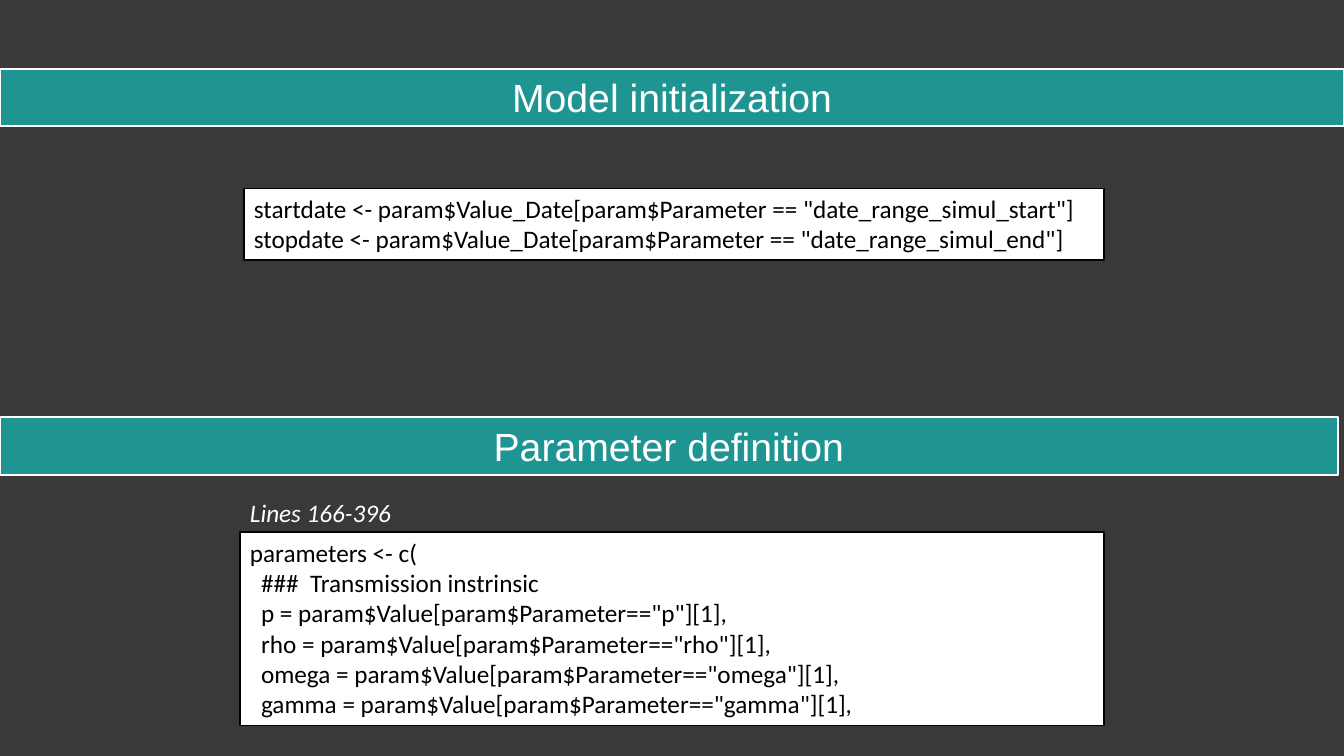
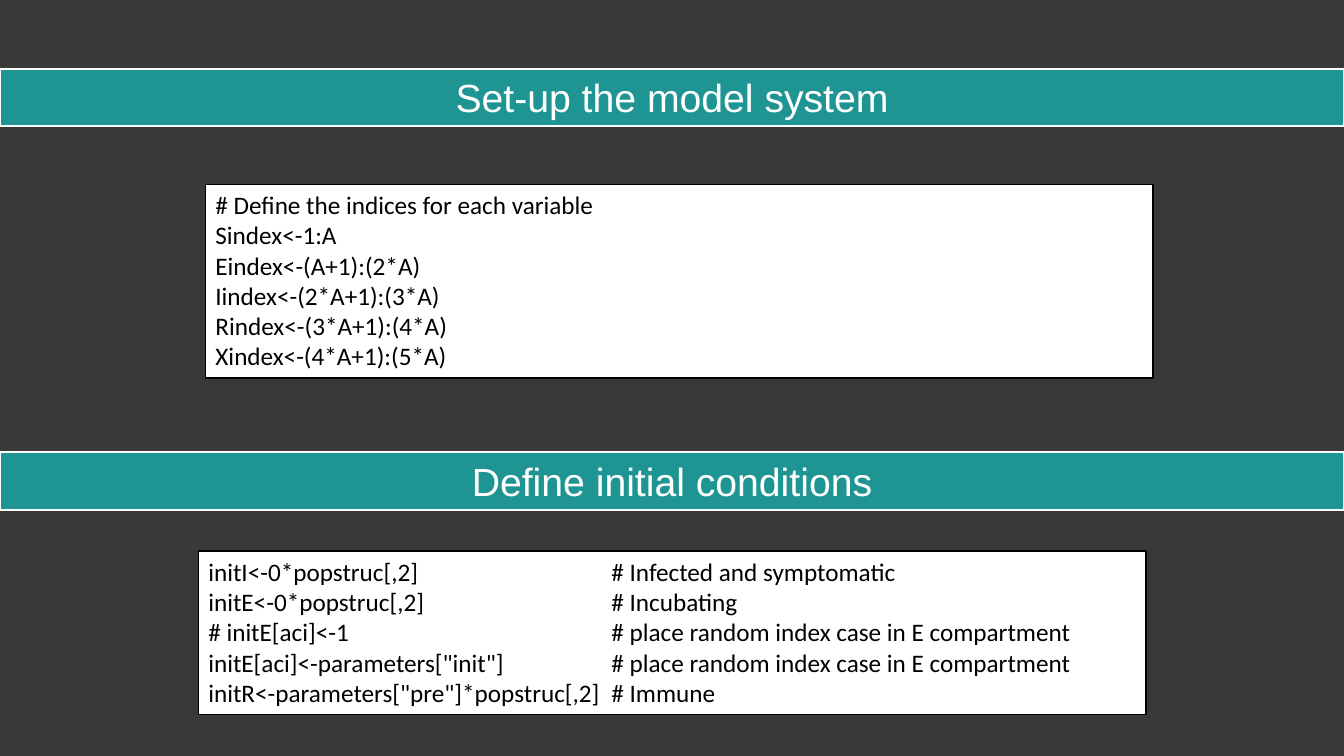
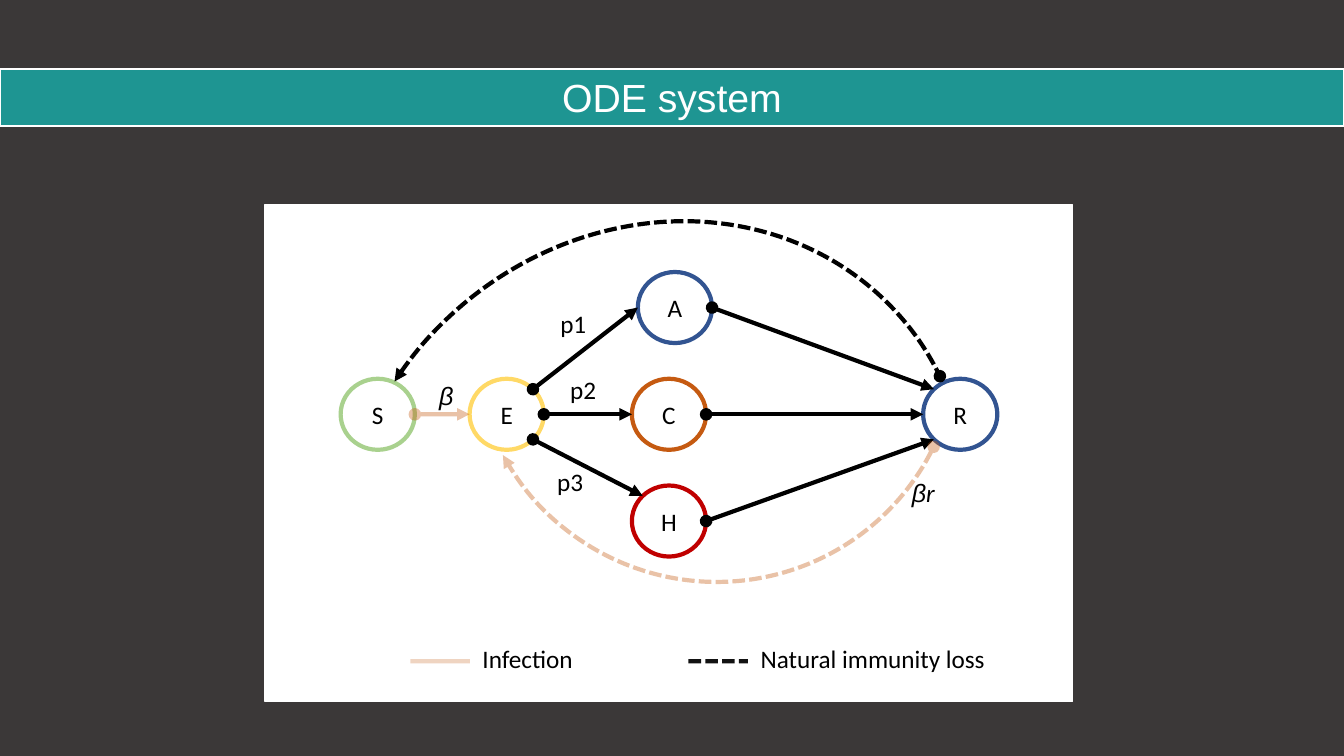
import math
from dataclasses import dataclass

from lxml import etree
from pptx import Presentation
from pptx import util as u
from pptx.dml.color import RGBColor
from pptx.enum import dml, shapes, text
from pptx.oxml.ns import qn


@dataclass(frozen=True)
class Theme:
    back: str = "3B3838"
    band: str = "1E9592"
    light: str = "FFFFFF"
    dark: str = "000000"
    infection: str = "C55A11"
    green: str = "A9D18E"
    yellow: str = "FFD966"
    blue: str = "325491"
    red: str = "C00000"
    head_font: str = "Arial"
    body_font: str = "Calibri"
    head_size: int = 28
    body_size: int = 18
    flow_width: int = 3


T = Theme()
CODE_INDENT = u.Cm(0.28)
COMMENT_TAB = u.Cm(10.16)


def style(sp, color, width, fill=None, alpha=None, dashed=False, ends=None):
    """Set outline, fill, transparency and arrowheads; remove the shadow."""
    sp.line.color.rgb = RGBColor.from_string(color)
    sp.line.width = u.Pt(width)
    if dashed:
        sp.line.dash_style = dml.MSO_LINE.SQUARE_DOT
    sp_pr = sp.element.spPr
    ln = sp_pr.find(qn("a:ln"))
    if alpha:
        clr = ln.find(".//" + qn("a:srgbClr"))
        etree.SubElement(clr, qn("a:alpha"), val=str(alpha * 1000))
    for tag, kind in zip(("a:headEnd", "a:tailEnd"), ends or ()):
        etree.SubElement(ln, qn(tag), type=kind)
    if sp_pr.find(qn("a:effectLst")) is None:
        etree.SubElement(sp_pr, qn("a:effectLst"))
    if hasattr(sp, "fill"):
        if fill:
            sp.fill.solid()
            sp.fill.fore_color.rgb = RGBColor.from_string(fill)
        else:
            sp.fill.background()


def write(sp, lines, color=T.dark, size=T.body_size, align=text.PP_ALIGN.LEFT,
          anchor=text.MSO_ANCHOR.TOP):
    """Fill a shape with lines, each a list of (text, font, italic) runs."""
    tf = sp.text_frame
    tf.word_wrap = True
    tf.auto_size = text.MSO_AUTO_SIZE.NONE
    tf.vertical_anchor = anchor
    for i, runs in enumerate(lines):
        p = tf.add_paragraph() if i else tf.paragraphs[0]
        p.alignment = align
        for words, font, italic in runs:
            r = p.add_run()
            r.text = words
            r.font.name = font
            r.font.size = u.Pt(size)
            r.font.italic = italic
            r.font.color.rgb = RGBColor.from_string(color)


prs = Presentation()
prs.slide_width, prs.slide_height = u.Cm(33.87), u.Cm(19.05)
bg = prs.slide_master.background.fill
bg.solid()
bg.fore_color.rgb = RGBColor.from_string(T.back)

# Slide content: bands (text, top, width) and code boxes (box, indented from line, lines)
FULL = 33.87
pages = [
    ([("Model initialization", 1.73, FULL), ("Parameter definition", 10.52, 33.71)],
     [((6.15, 4.75, 21.67, 1.8), None, [
         'startdate <- param$Value_Date[param$Parameter == "date_range_simul_start"]',
         'stopdate <- param$Value_Date[param$Parameter == "date_range_simul_end"]']),
      ((6.05, 13.41, 21.77, 4.88), 1, [
          "parameters <- c(",
          "###  Transmission instrinsic",
          *(f'{name} = param$Value[param$Parameter=="{name}"][1],'
            for name in ("p", "rho", "omega", "gamma"))])]),
    ([("Set-up the model system", 1.73, FULL), ("Define initial conditions", 11.4, FULL)],
     [((5.18, 4.65, 23.88, 4.88), None, [
         "# Define the indices for each variable",
         "Sindex<-1:A",
         *(f"{name}index<-({n}A+1):({i}*A)" for i, (name, n) in enumerate(
             [("E", ""), ("I", "2*"), ("R", "3*"), ("X", "4*")], start=2))]),
      ((5, 13.89, 23.88, 4.11), None, [
          "initI<-0*popstruc[,2]\t# Infected and symptomatic",
          "initE<-0*popstruc[,2]\t# Incubating",
          "# initE[aci]<-1\t# place random index case in E compartment",
          'initE[aci]<-parameters["init"]\t# place random index case in E compartment',
          'initR<-parameters["pre"]*popstruc[,2]\t# Immune'])]),
    ([("ODE system", 1.73, FULL)], []),
]

for bands, codes in pages:
    s = prs.slides.add_slide(prs.slide_layouts[5])

    # Bands: the first one is the title
    for i, (words, top, width) in enumerate(bands):
        box = 0, u.Cm(top), u.Cm(width), u.Cm(1.45)
        if i:
            sp = s.shapes.add_shape(shapes.MSO_SHAPE.RECTANGLE, *box)
        else:
            sp = s.shapes.title
            sp.left, sp.top, sp.width, sp.height = box
        style(sp, T.light, 1.5, fill=T.band)
        write(sp, [[(words, T.head_font, False)]], T.light, T.head_size,
              text.PP_ALIGN.CENTER)

    # Code boxes
    for box, indent_from, lines in codes:
        sp = s.shapes.add_shape(shapes.MSO_SHAPE.RECTANGLE, *map(u.Cm, box))
        style(sp, T.dark, 1, fill=T.light)
        write(sp, [[(line, T.body_font, False)] for line in lines])
        for i, p in enumerate(sp.text_frame.paragraphs):
            p_pr = p._p.get_or_add_pPr()
            if indent_from and i >= indent_from:
                p_pr.set("marL", str(CODE_INDENT))
            if "\t" in lines[i]:
                tabs = etree.SubElement(p_pr, qn("a:tabLst"))
                etree.SubElement(tabs, qn("a:tab"), pos=str(COMMENT_TAB), algn="l")

# Line reference above the parameter code
sp = prs.slides[0].shapes.add_textbox(*map(u.Cm, (6.05, 12.4, 4.14, 1.02)))
write(sp, [[("Lines 166-396", T.body_font, True)]], T.light)

# Diagram panel
diagram = prs.slides[2].shapes.add_group_shape().shapes
sp = diagram.add_shape(shapes.MSO_SHAPE.RECTANGLE, *map(u.Cm, (6.68, 5.16, 20.35, 12.52)))
style(sp, T.light, 1, fill=T.light)

# Compartments, placed by their centres
NODE_W, NODE_H = 1.87, 1.79
MIDDLE, ROW = 10.44, 2.69
nodes = {
    "E": (12.77, MIDDLE, T.yellow),
    "S": (9.52, MIDDLE, T.green),
    "A": (17.01, MIDDLE - ROW, T.blue),
    "H": (16.86, MIDDLE + ROW, T.red),
    "C": (16.86, MIDDLE, T.infection),
    "R": (24.2, MIDDLE, T.blue),
}
for name, (x, y, color) in nodes.items():
    sp = diagram.add_shape(shapes.MSO_SHAPE.OVAL, u.Cm(x - NODE_W / 2), u.Cm(y - NODE_H / 2),
                           u.Cm(NODE_W), u.Cm(NODE_H))
    style(sp, color, T.flow_width)
    write(sp, [[(name, T.body_font, False)]], align=text.PP_ALIGN.CENTER,
          anchor=text.MSO_ANCHOR.MIDDLE)

# Flows: each end sits on a node's rim at a clockwise angle from the right
flows = [
    ("S", 0, "E", 180, T.infection, 37),
    ("E", -45, "A", 180, T.dark, None),
    ("E", 0, "C", 180, T.dark, None),
    ("E", 45, "H", 225, T.dark, None),
    ("A", 0, "R", 225, T.dark, None),
    ("C", 0, "R", 180, T.dark, None),
    ("H", 0, "R", 135, T.dark, None),
]
for start, start_angle, end, end_angle, color, alpha in flows:
    points = []
    for name, angle in ((start, start_angle), (end, end_angle)):
        x, y, _ = nodes[name]
        a = math.radians(angle)
        points += [u.Cm(x + NODE_W / 2 * math.cos(a)), u.Cm(y + NODE_H / 2 * math.sin(a))]
    cx = diagram.add_connector(shapes.MSO_CONNECTOR.STRAIGHT, *points)
    style(cx, color, T.flow_width, alpha=alpha, ends=("oval", "triangle"))

# Return flows
arcs = [
    ((8.18, 5.94, 16.59, 15.06), 317, (152.13, 8.43), T.dark, None, ("triangle", "oval")),
    ((11.94, 2.44, 12.19, 12.24), 126.6, (155.74, 14.96), T.infection, 36,
     ("oval", "triangle")),
]
for box, rotation, span, color, alpha, ends in arcs:
    sp = diagram.add_shape(shapes.MSO_SHAPE.ARC, *map(u.Cm, box))
    sp.rotation = rotation
    sp.adjustments[0], sp.adjustments[1] = span
    style(sp, color, T.flow_width, alpha=alpha, dashed=True, ends=ends)

# Legend keys
for x, color, alpha, dashed in ((10.34, T.infection, 26, False), (17.35, T.dark, 92, True)):
    cx = diagram.add_connector(shapes.MSO_CONNECTOR.STRAIGHT, u.Cm(x), u.Cm(16.66),
                               u.Cm(x + 1.5), u.Cm(16.66))
    style(cx, color, T.flow_width, alpha=alpha, dashed=dashed)

# Legend and flow labels
beta = ("β", T.head_font, True)
labels = [
    (11.91, 16.08, 3.02, [("Infection", T.body_font, False)]),
    (18.92, 16.08, 7.16, [("Natural immunity loss", T.body_font, False)]),
    (13.87, 7.65, 1.7, [("p1", T.body_font, False)]),
    (14.12, 9.32, 1.7, [("p2", T.body_font, False)]),
    (13.79, 11.63, 1.7, [("p3", T.body_font, False)]),
    (10.82, 9.45, 0.79, [beta]),
    (22.73, 11.91, 1.35, [beta, ("r", T.body_font, True)]),
]
for x, y, width, runs in labels:
    sp = diagram.add_textbox(u.Cm(x), u.Cm(y), u.Cm(width), u.Cm(1.02))
    write(sp, [runs])

prs.save("out.pptx")
